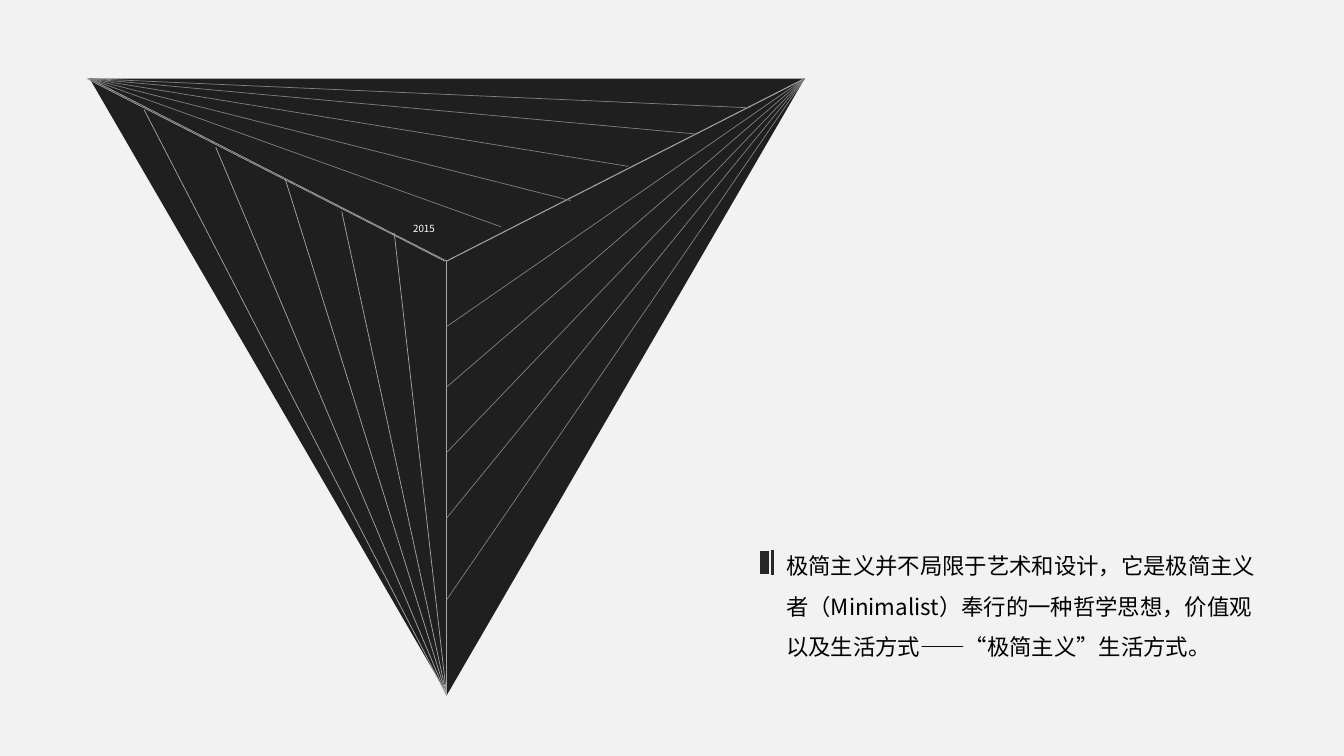
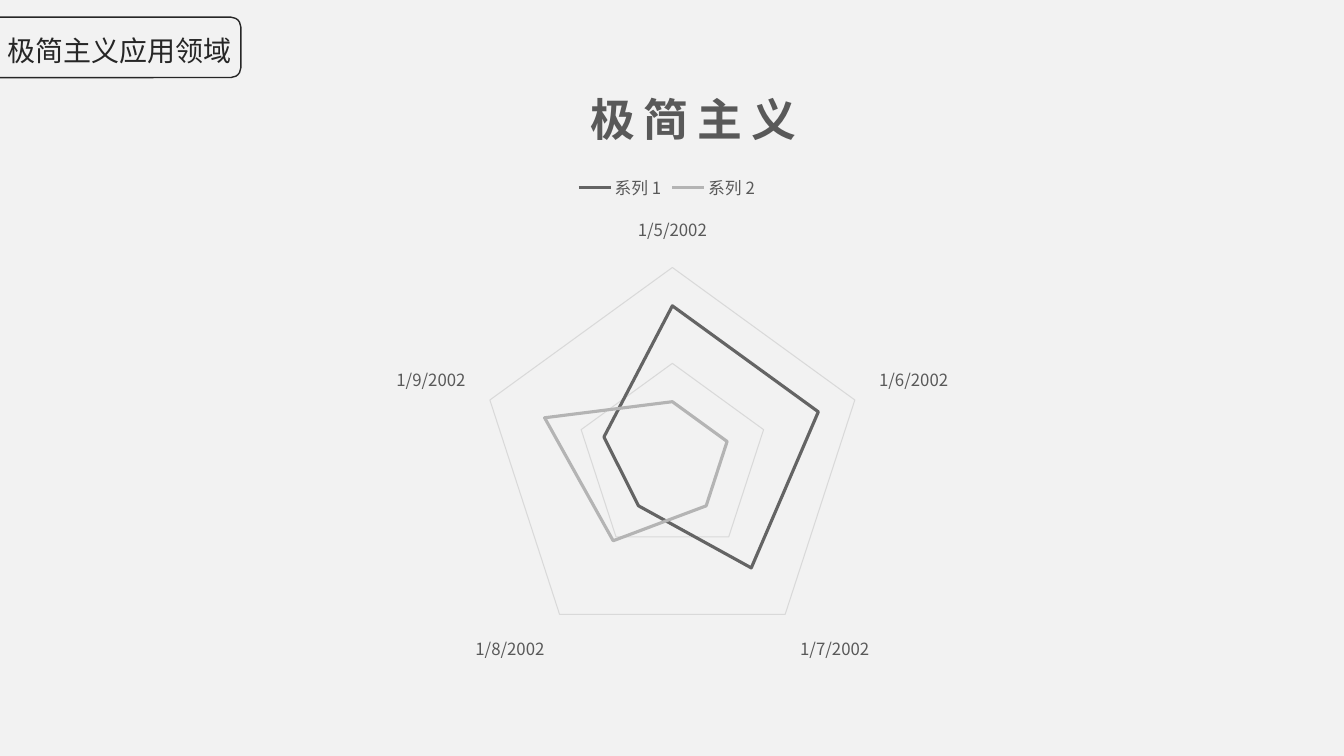
"""Build two minimalism slides: a line-fan triangle and a radar chart."""
from lxml import etree
from pptx import Presentation
from pptx import util as u
from pptx.chart import data as chart_data
from pptx.dml import color
from pptx.enum import chart as ch, shapes, text
from pptx.oxml import ns

FONT = "Noto Sans CJK SC"
PAPER, INK, BLACK, WHITE = "F2F2F2", "262626", "000000", "FFFFFF"
SILVER, GREY, LABEL, GRID = "A6A6A6", "808080", "595959", "D9D9D9"


def rgb(code):
    return color.RGBColor.from_string(code)


def style(font, size, code, bold=False):
    font.size, font.name, font.bold = u.Pt(size), FONT, bold
    font.color.rgb = rgb(code)
    etree.SubElement(font._rPr, ns.qn("a:ea"), typeface=FONT)


deck = Presentation()
deck.slide_width, deck.slide_height = u.Inches(13.33), u.Inches(7.5)
cover, fields = [deck.slides.add_slide(deck.slide_layouts[6]) for _ in range(2)]
for slide in (cover, fields):
    slide.background.fill.solid()
    slide.background.fill.fore_color.rgb = rgb(PAPER)

triangle = cover.shapes.add_shape(
    shapes.MSO_SHAPE.ISOSCELES_TRIANGLE,
    u.Inches(0.89), u.Inches(0.78), u.Inches(7.09), u.Inches(6.11))
triangle.rotation = 180
triangle.shadow.inherit = False
triangle.line.fill.background()
triangle.fill.solid()
triangle.fill.fore_color.rgb = rgb(BLACK)
tone = triangle._element.spPr.find(".//" + ns.qn("a:srgbClr"))
etree.SubElement(tone, ns.qn("a:alpha"), val="87000")

left, right, bottom, hub = (0.88, 0.78), (7.98, 0.78), (4.43, 6.9), (4.43, 2.59)
fans = [
    (right, GREY, [(4.43, y) for y in (3.24, 3.84, 4.49, 5.14, 5.95)]),
    (left, GREY, [(4.97, 2.25), (5.66, 1.99), (6.23, 1.65), (6.91, 1.33), (7.44, 1.07)]),
    (bottom, SILVER, [(3.91, 2.31), (3.39, 2.1), (2.83, 1.78), (2.14, 1.46), (1.43, 1.09)]),
]
strokes = [
    ((0.89, 0.78), hub, SILVER, 0.5),
    (right, hub, SILVER, 0.75),
    (hub, bottom, SILVER, 0.5),
    ((4.41, 2.59), (0.86, 0.78), SILVER, 0.5),
    ((7.54, 5.58), (7.63, 5.58), INK, 17),
    ((7.66, 5.46), (7.66, 5.7), INK, 2),
]
strokes += [(apex, end, code, 0.5) for apex, code, ends in fans for end in ends]
for start, end, code, width in strokes:
    stroke = cover.shapes.add_connector(
        shapes.MSO_CONNECTOR.STRAIGHT, *[u.Inches(v) for v in start + end])
    stroke.line.color.rgb = rgb(code)
    stroke.line.width = u.Pt(width)
    etree.SubElement(stroke._element.spPr, ns.qn("a:effectLst"))

results = chart_data.CategoryChartData()
results.categories = [f"1/{day}/2002" for day in range(5, 10)]
results.add_series("系列 1", (32, 32, 28, 12, 15))
results.add_series("系列 2", (12, 12, 12, 21, 28))
radar = fields.shapes.add_chart(
    ch.XL_CHART_TYPE.RADAR,
    u.Inches(2.22), u.Inches(0.48), u.Inches(8.89), u.Inches(6.23), results).chart
style(radar.font, 10, BLACK)
radar.plots[0].vary_by_categories = False
for series, code in zip(radar.plots[0].series, ("646464", "B4B4B4")):
    series.format.line.color.rgb = rgb(code)
    series.format.line.width = u.Pt(2.25)

dates, scale = radar.category_axis, radar.value_axis
dates.has_major_gridlines = False
dates.major_tick_mark = ch.XL_TICK_MARK.NONE
style(dates.tick_labels.font, 12, LABEL)
scale.minimum_scale, scale.maximum_scale, scale.major_unit = 0, 40, 20
scale.has_major_gridlines = True
scale.visible = False
for line in (dates.format.line, scale.major_gridlines.format.line):
    line.color.rgb = rgb(GRID)
    line.width = u.Pt(0.75)

radar.has_legend = True
radar.legend.position = ch.XL_LEGEND_POSITION.TOP
radar.legend.include_in_layout = False
style(radar.legend.font, 12, LABEL)
radar.has_title = True
heading = radar.chart_title.text_frame
heading.text = "极简主义"
heading_font = heading.paragraphs[0].runs[0].font
style(heading_font, 32, LABEL, bold=True)
heading_font._rPr.set("spc", "600")

placements = [
    ("plotArea", 0, {"x": 0.286, "y": 0.349, "w": 0.429, "h": 0.611}),
    ("title", 1, {"x": 0.4, "y": 0.035}),
    ("legend", 1, {"x": 0.39, "y": 0.195}),
]
for part, index, box in placements:
    parent = radar._chartSpace.find(".//" + ns.qn("c:" + part))
    for old in parent.findall(ns.qn("c:layout")):
        parent.remove(old)
    layout = etree.Element(ns.qn("c:layout"))
    manual = etree.SubElement(layout, ns.qn("c:manualLayout"))
    if part == "plotArea":
        etree.SubElement(manual, ns.qn("c:layoutTarget"), val="inner")
    for side in "xy":
        etree.SubElement(manual, ns.qn(f"c:{side}Mode"), val="edge")
    for side, share in box.items():
        etree.SubElement(manual, ns.qn("c:" + side), val=str(share))
    parent.insert(index, layout)

tab = fields.shapes.add_shape(
    shapes.MSO_SHAPE.ROUNDED_RECTANGLE,
    u.Inches(-0.57), u.Inches(0.17), u.Inches(2.96), u.Inches(0.6))
tab.shadow.inherit = False
tab.fill.background()
tab.line.color.rgb = rgb(INK)
tab.line.width = u.Pt(1)

LEFT, CENTER = text.PP_ALIGN.LEFT, text.PP_ALIGN.CENTER
captions = [
    (cover, (4, 2.16, 0.94, 0.41), "2015", 7, WHITE, LEFT, 1, True),
    (cover, (7.7, 5.3, 4.86, 1.31),
     "极简主义并不局限于艺术和设计，它是极简主义者（Minimalist）奉行的一种哲学思想，"
     "价值观以及生活方式——“极简主义”生活方式。", 16, BLACK, LEFT, 1.5, True),
    (fields, (-0.04, 0.28, 2.45, 0.44), "极简主义应用领域", 20, INK, CENTER, 1, False),
]
for slide, box, words, size, code, align, spacing, wrap in captions:
    frame = slide.shapes.add_textbox(*[u.Inches(v) for v in box]).text_frame
    frame.word_wrap = wrap
    frame.text = words
    paragraph = frame.paragraphs[0]
    paragraph.alignment = align
    paragraph.line_spacing = spacing
    style(paragraph.runs[0].font, size, code)

deck.save("out.pptx")
